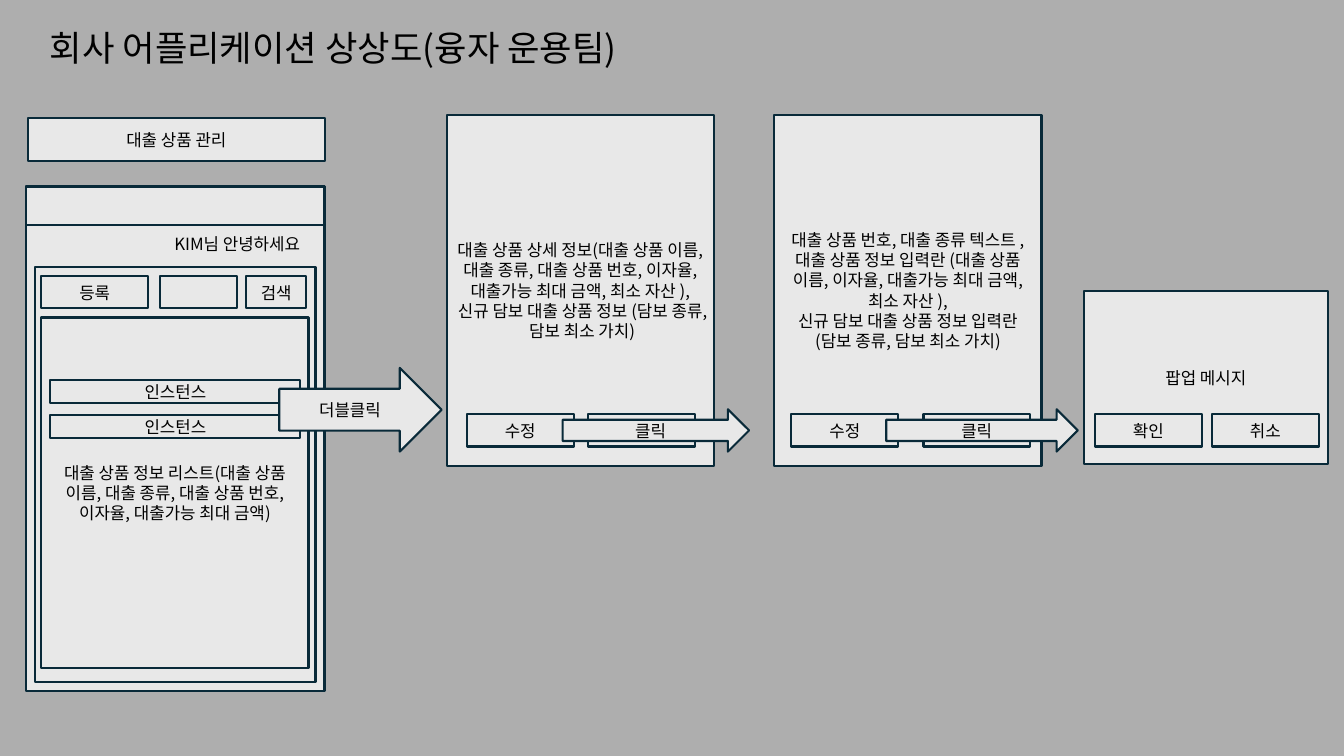
"""Build a slide of the loan product app screens and their flow."""
from pptx import Presentation
from pptx.dml.color import RGBColor
from pptx.enum import shapes, text
from pptx.oxml import ns
from pptx.util import Inches, Pt
from lxml import etree

FONT = "Noto Sans CJK KR"
BACK = RGBColor(0xAE, 0xAE, 0xAE)
PALE = RGBColor(0xE8, 0xE8, 0xE8)
NAVY = RGBColor(0x09, 0x2A, 0x39)
BLACK = RGBColor(0, 0, 0)
RECT = shapes.MSO_SHAPE.RECTANGLE
ARROW = shapes.MSO_SHAPE.RIGHT_ARROW
MID = text.PP_ALIGN.CENTER
BUTTON = (1.06, 0.32)
PANEL = (2.65, 3.48)
ROW = 4.11


def write(frame, words, size=12, align=MID):
    frame.word_wrap = True
    frame.text = words
    for para in frame.paragraphs:
        para.alignment = align
        for run in para.runs:
            run.font.size = Pt(size)
            run.font.name = FONT
            run.font.color.rgb = BLACK
            props = run.font._element
            etree.SubElement(props, ns.qn("a:ea"), typeface=FONT)


def title(slide, words):
    head = slide.shapes.title
    head.left, head.top = Inches(0.14), Inches(0.13)
    head.width, head.height = Inches(6.33), Inches(0.61)
    frame = head.text_frame
    write(frame, words, 25.2)
    frame.auto_size = text.MSO_AUTO_SIZE.NONE
    frame.vertical_anchor = text.MSO_ANCHOR.BOTTOM
    frame.paragraphs[0].line_spacing = 0.9


def box(slide, left, top, size, words="", kind=RECT):
    shape = slide.shapes.add_shape(
        kind, Inches(left), Inches(top), *map(Inches, size))
    shape.shadow.inherit = False
    shape.fill.solid()
    shape.fill.fore_color.rgb = PALE
    shape.line.color.rgb = NAVY
    shape.line.width = Pt(1.5)
    shape.text_frame.vertical_anchor = text.MSO_ANCHOR.MIDDLE
    if words:
        write(shape.text_frame, words)


def label(slide, left, top, size, words):
    note = slide.shapes.add_textbox(
        Inches(left), Inches(top), *map(Inches, size))
    write(note.text_frame, words, align=text.PP_ALIGN.LEFT)


def menu(slide):
    box(slide, 0.28, 1.17, (2.94, 0.43), "대출 상품 관리")
    box(slide, 0.26, 1.85, (2.96, 5.01))
    box(slide, 0.26, 1.85, (2.96, 0.38))
    box(slide, 0.35, 2.65, (2.78, 4.12))
    label(slide, 1.63, 2.27, (1.61, 0.3), "KIM님 안녕하세요")
    box(slide, 0.41, 3.15, PANEL,
        "대출 상품 정보 리스트(대출 상품 이름, 대출 종류, 대출 상품 번호, "
        "이자율, 대출가능 최대 금액)")
    box(slide, 0.41, 2.74, BUTTON, "등록")
    box(slide, 1.59, 2.74, (0.76, 0.32))
    box(slide, 2.44, 2.74, (0.6, 0.32), "검색")
    for top in (3.77, 4.12):
        box(slide, 0.5, top, (2.48, 0.23), "인스턴스")


def panel(slide, left, top, size, words, buttons):
    box(slide, left, top, size, words)
    for place, name in buttons:
        box(slide, place, ROW, BUTTON, name)


def main():
    deck = Presentation()
    deck.slide_width, deck.slide_height = Inches(13.33), Inches(7.5)
    slide = deck.slides.add_slide(deck.slide_layouts[5])
    slide.background.fill.solid()
    slide.background.fill.fore_color.rgb = BACK
    title(slide, "회사 어플리케이션 상상도(융자 운용팀)")
    menu(slide)
    box(slide, 2.77, 3.65, (1.61, 0.83), "더블클릭", ARROW)
    panel(slide, 4.43, 1.14, PANEL,
          "대출 상품 상세 정보(대출 상품 이름, 대출 종류, 대출 상품 번호, "
          "이자율, 대출가능 최대 금액, 최소 자산 ),\n"
          "신규 담보 대출 상품 정보 (담보 종류, 담보 최소 가치)",
          [(4.63, "수정"), (5.83, "")])
    box(slide, 5.58, 4.06, (1.85, 0.42), "클릭", ARROW)
    panel(slide, 7.68, 1.14, PANEL,
          "대출 상품 번호, 대출 종류 텍스트 ,대출 상품 정보 입력란 "
          "(대출 상품 이름, 이자율, 대출가능 최대 금액, 최소 자산 ),\n"
          "신규 담보 대출 상품 정보 입력란 (담보 종류, 담보 최소 가치)",
          [(7.85, "수정"), (9.16, "")])
    panel(slide, 10.75, 2.89, (2.42, 1.71), "팝업 메시지",
          [(10.86, "확인"), (12.02, "취소")])
    box(slide, 8.79, 4.06, (1.9, 0.42), "클릭", ARROW)
    deck.save("out.pptx")


if __name__ == "__main__":
    main()
